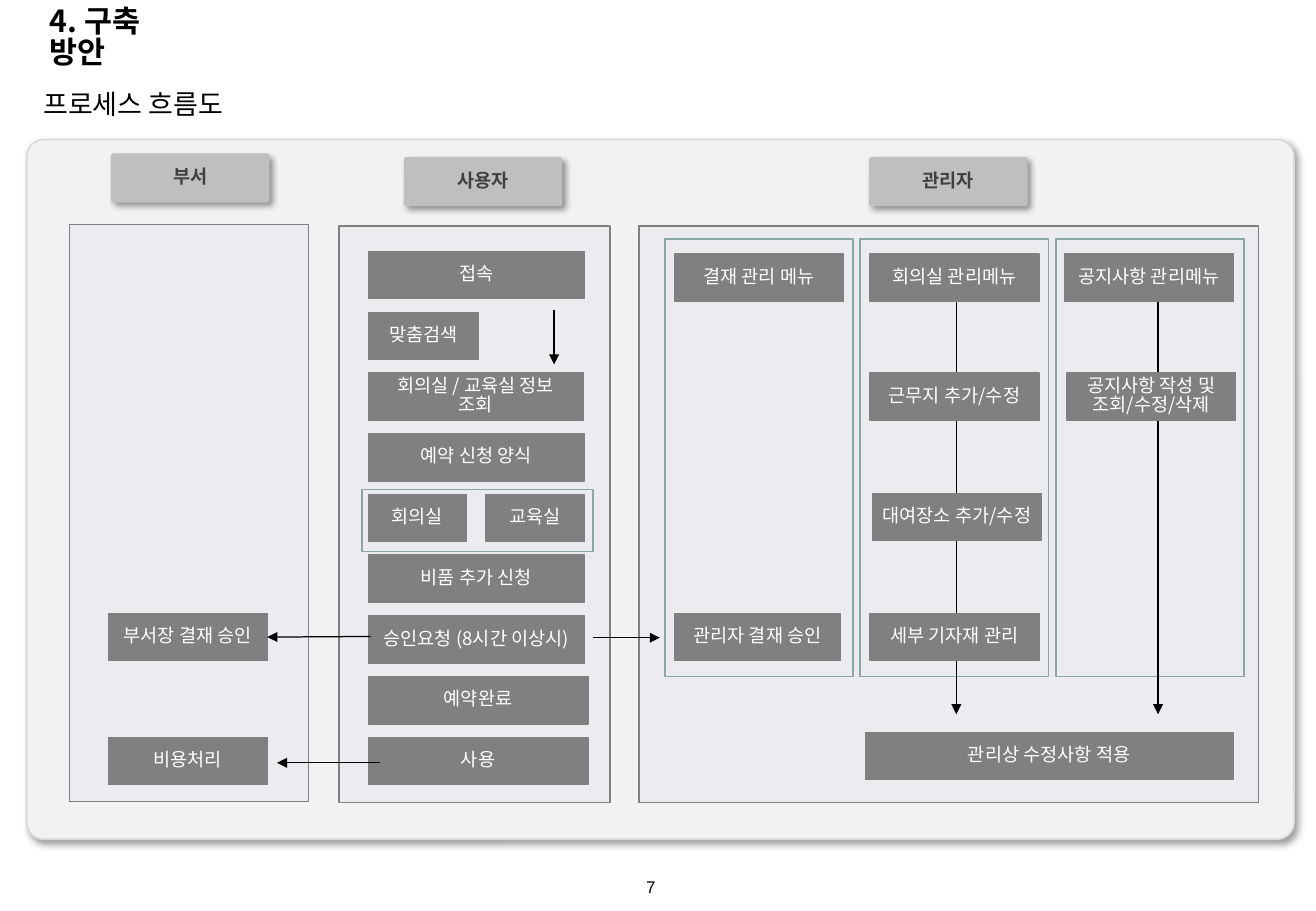
"""Builds the process flow slide of the room booking plan."""
from lxml.etree import SubElement
from pptx import Presentation
from pptx.dml.color import RGBColor
from pptx.enum.shapes import MSO_CONNECTOR, MSO_SHAPE
from pptx.enum.text import MSO_ANCHOR, MSO_AUTO_SIZE, PP_ALIGN
from pptx.oxml.ns import qn
from pptx.util import Pt

SCALE = 9144
NOTO = "Noto Sans CJK KR"


def px(count):
    return round(count * SCALE)


def color(code):
    return RGBColor.from_string(code)


class Board:
    step = {"fill": "808080", "edge": "808080", "weight": 0.75}
    head = {"fill": "BFBFBF", "edge": "BFBFBF", "weight": 1, "bend": 0.039, "shade": True}
    panel = {"fill": "F2F2F2", "edge": "D9D9D9", "weight": 1, "bend": 0.024, "shade": True}
    lane = {"fill": "9C9CDF", "alpha": 8, "edge": "808080", "weight": 0.75}
    frame = {"edge": "8AA6A8", "weight": 1}

    def __init__(self, width, height):
        self.deck = Presentation()
        self.deck.slide_width, self.deck.slide_height = px(width), px(height)
        self.slide = self.deck.slides.add_slide(self.deck.slide_layouts[5])
        self.shapes = self.slide.shapes

    def letter(self, shape, text, size, ink, bold=False, name=NOTO,
               align=PP_ALIGN.LEFT, **form):
        frame = shape.text_frame
        frame.text = text
        for key, value in form.items():
            setattr(frame, key, value)
        for para in frame.paragraphs:
            para.alignment = align
            para.line_spacing = 0.83 if name == NOTO else 1.0
            for run in para.runs:
                looks = {"size": Pt(size), "bold": bold, "name": name}
                run.font.color.rgb = color(ink)
                for key, value in looks.items():
                    setattr(run.font, key, value)
                SubElement(run._r.get_or_add_rPr(), qn("a:ea"), typeface=name)

    def title(self, text, left, top, width, height):
        shape = self.shapes.title
        spots = {"left": left, "top": top, "width": width, "height": height}
        for key, value in spots.items():
            setattr(shape, key, px(value))
        self.letter(shape, text, 18, "000000", bold=True, word_wrap=True,
                    vertical_anchor=MSO_ANCHOR.MIDDLE,
                    auto_size=MSO_AUTO_SIZE.SHAPE_TO_FIT_TEXT)

    def label(self, text, spot, size, name=NOTO, wrap=True):
        shape = self.shapes.add_textbox(*map(px, spot))
        self.letter(shape, text, size, "000000", name=name, word_wrap=wrap)

    def box(self, spot, style):
        bend = style.get("bend")
        kind = MSO_SHAPE.ROUNDED_RECTANGLE if bend else MSO_SHAPE.RECTANGLE
        shape = self.shapes.add_shape(kind, *map(px, spot))
        if bend:
            shape.adjustments[0] = bend
        if "fill" in style:
            shape.fill.solid()
            shape.fill.fore_color.rgb = color(style["fill"])
        else:
            shape.fill.background()
        if "alpha" in style:
            tint = shape._element.spPr.find(qn("a:solidFill"))[0]
            SubElement(tint, qn("a:alpha"), val=str(style["alpha"] * 1000))
        shape.line.color.rgb = color(style["edge"])
        shape.line.width = Pt(style["weight"])
        shape.shadow.inherit = False
        if style.get("shade"):
            self.shade(shape)
        return shape

    def shade(self, shape):
        effect = shape._element.spPr.find(qn("a:effectLst"))
        outer = SubElement(effect, qn("a:outerShdw"), blurRad=str(Pt(4)),
                           dist=str(Pt(3)), dir="2700000", algn="tl", rotWithShape="0")
        tint = SubElement(outer, qn("a:srgbClr"), val="000000")
        SubElement(tint, qn("a:alpha"), val="40000")

    def node(self, text, left, top, width, style=step, pad=4):
        shape = self.box((left, top, width, 39), style)
        main = style is self.head
        self.letter(shape, text, 11, "404040" if main else "FFFFFF", bold=main,
                    align=PP_ALIGN.CENTER, word_wrap=True,
                    vertical_anchor=MSO_ANCHOR.MIDDLE,
                    margin_left=px(pad), margin_right=px(pad),
                    margin_top=px(4), margin_bottom=px(4))
        return shape

    def arrow(self, *ends, goal=None):
        line = self.shapes.add_connector(MSO_CONNECTOR.STRAIGHT, *map(px, ends))
        if goal is not None:
            line.end_connect(goal, 3)
        line.line.color.rgb = color("000000")
        line.line.width = Pt(0.75)
        SubElement(line.line._get_or_add_ln(), qn("a:tailEnd"), type="triangle")
        SubElement(line._element.spPr, qn("a:effectLst"))


def main():
    board = Board(1083, 750)
    board.label("7", (522, 717, 37, 27), 10, name="Arial", wrap=False)
    board.box((22, 115, 1043, 576), board.panel)
    for left, top, width in ((526, 186, 510), (279, 186, 223), (57, 185, 197)):
        board.box((left, top, width, 475), board.lane)
    board.title("4. 구축 방안", 31, 12, 146, 40)
    board.label("프로세스 흐름도", (26, 72, 1043, 37), 16)
    for text, left, top in (("부서", 92, 127), ("사용자", 333, 130), ("관리자", 716, 130)):
        board.node(text, left, top, 129, board.head, 1)

    chief = board.node("부서장 결재 승인", 89, 505, 131)
    board.node("비용처리", 89, 607, 131)

    steps = (
        (0, "접속", 303, 178, 4),
        (1, "맞춤검색", 303, 91, 4),
        (2, "회의실 / 교육실 정보 조회", 303, 177, 12),
        (3, "예약 신청 양식", 303, 178, 4),
        (4, "회의실", 303, 81, 4),
        (4, "교육실", 400, 81, 4),
        (5, "비품 추가 신청", 303, 178, 4),
        (6, "승인요청 (8시간 이상시)", 303, 178, 4),
        (7, "예약완료", 303, 181, 4),
        (8, "사용", 303, 181, 4),
    )
    for row, text, left, width, pad in steps:
        board.node(text, left, 207 + 50 * row, width, pad=pad)
    board.box((298, 403, 190, 51), board.frame)

    for col in range(3):
        board.box((547 + 161 * col, 197, 155, 360), board.frame)
    board.arrow(787, 241, 787, 588)
    board.arrow(953, 238, 953, 588)

    menus = (
        (0, "결재 관리 메뉴", 555, 139),
        (3, "관리자 결재 승인", 555, 137),
        (0, "회의실 관리메뉴", 716, 139),
        (1, "근무지 추가/수정", 716, 139),
        (2, "대여장소 추가/수정", 718, 139),
        (3, "세부 기자재 관리", 716, 139),
        (0, "공지사항 관리메뉴", 876, 139),
        (1, "공지사항 작성 및\n조회/수정/삭제", 878, 139),
    )
    for row, text, left, width in menus:
        board.node(text, left, 209 + 296 * row // 3, width)
    board.node("관리상 수정사항 적용", 712, 603, 303)

    board.arrow(305, 524, 220, 524, goal=chief)
    board.arrow(456, 255, 456, 300)
    board.arrow(313, 628, 228, 628)
    board.arrow(488, 525, 543, 525)
    board.deck.save("out.pptx")


if __name__ == "__main__":
    main()
